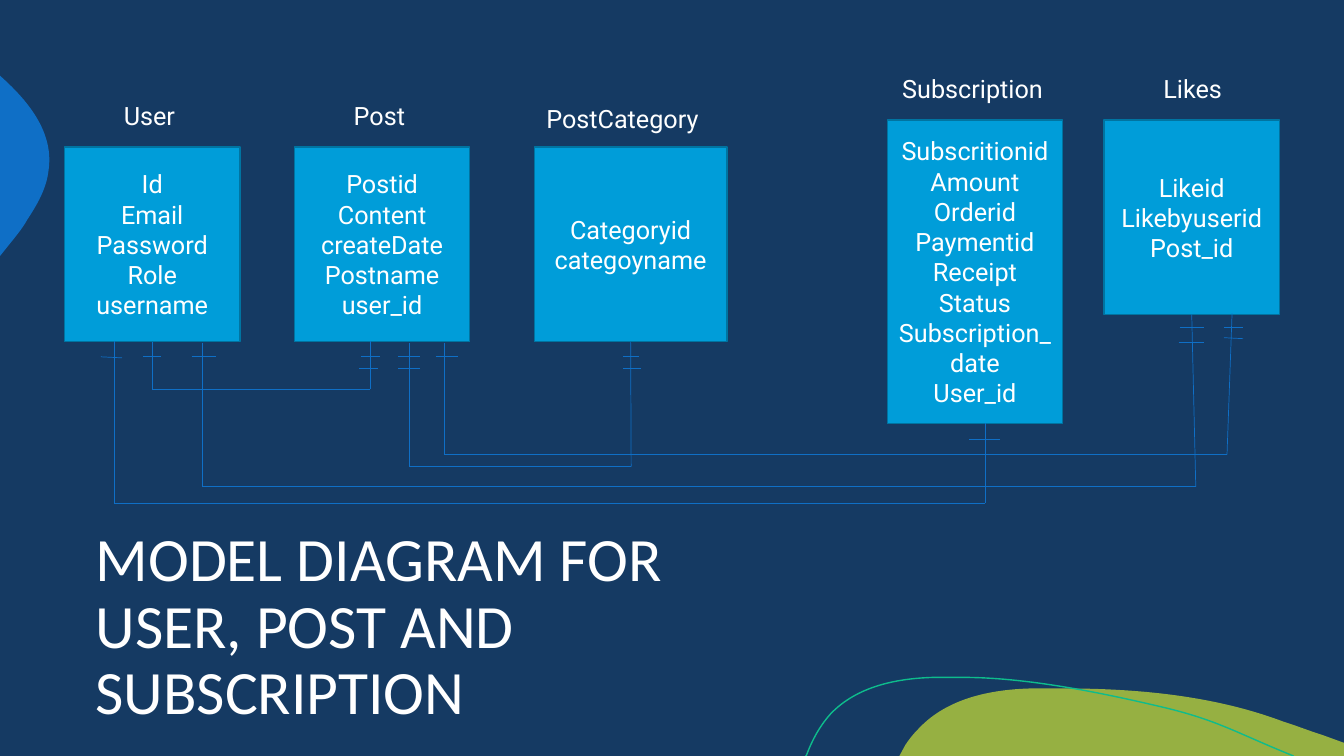
from lxml import etree
from pptx import Presentation
from pptx import util as u
from pptx.dml.color import RGBColor
from pptx.enum import shapes, text
from pptx.oxml.ns import qn

NAVY, SKY, SKY_EDGE, BLUE = "153A63", "009DD9", "0074A1", "0F6FC6"
GREEN, TEAL, WHITE = "96B042", "0EBC8C", "FFFFFF"
BODY = {"name": "Roboto", "size": u.Pt(18)}
TITLE = {"name": "Calibri", "size": u.Pt(44)}

ENTITIES = [
    ("User", (0.64, 1.46, 1.74, 1.93), (0.49, -0.51, 0.77),
     ["Id", "Email", "Password", "Role", "username"]),
    ("Post", (2.92, 1.46, 1.74, 1.93), (0.49, -0.51, 0.77),
     ["Postid", "Content", "createDate", "Postname", "user_id"]),
    ("PostCategory", (5.3, 1.46, 1.91, 1.93), (0.02, -0.48, 1.91),
     ["Categoryid", "categoyname"]),
    ("Subscription", (8.8, 1.19, 1.74, 3.01), (0.05, -0.51, 1.64),
     ["Subscritionid", "Amount", "Orderid", "Paymentid", "Receipt", "Status",
      "Subscription_date", "User_id"]),
    ("Likes", (10.95, 1.19, 1.74, 1.93), (0.49, -0.51, 0.93),
     ["Likeid", "Likebyuserid", "Post_id"]),
]

ROUTES = [
    ([(1.51, 3.39), (1.51, 3.86), (3.67, 3.86), (3.67, 3.38)], "User", None),
    ([(1.13, 3.38), (1.13, 4.99), (9.77, 4.99), (9.77, 4.2)], None, None),
    ([(4.06, 3.4), (4.06, 4.63), (6.26, 4.63), (6.26, 3.39)], None, "PostCategory"),
    ([(2.01, 3.4), (2.01, 4.83), (11.86, 4.83), (11.82, 3.12)], None, "Likes"),
    ([(4.41, 3.4), (4.41, 4.51), (12.17, 4.51), (12.22, 3.11)], None, None),
]

TICKS = [
    (1, 3.54, 1.21, 3.55), (1.42, 3.54, 1.6, 3.54), (1.9, 3.54, 2.14, 3.54),
    (3.58, 3.54, 3.77, 3.54), (3.56, 3.65, 3.75, 3.65),
    (3.95, 3.54, 4.17, 3.54), (3.95, 3.65, 4.17, 3.65),
    (4.41, 3.54, 4.42, 3.54), (4.32, 3.54, 4.54, 3.54),
    (6.18, 3.54, 6.34, 3.54), (6.18, 3.65, 6.36, 3.65), (9.61, 4.36, 9.92, 4.36),
    (11.7, 3.25, 11.94, 3.25), (11.69, 3.4, 11.94, 3.4),
    (12.14, 3.25, 12.33, 3.25), (12.14, 3.35, 12.33, 3.36),
]

GREEN_HILL = [
    (1.62, 0), (2.36, 0, 3.12, 0.07, 3.81, 0.33), (3.94, 0.37, 4.06, 0.42, 4.19, 0.46),
    (4.41, 0.54), (4.41, 0.67), (0, 0.67), (0.06, 0.56),
    (0.1, 0.5, 0.14, 0.45, 0.19, 0.4), (0.47, 0.1, 0.9, 0.01, 1.31, 0),
    (1.41, 0, 1.51, 0, 1.62, 0)]
BLUE_BULGE = [
    (0, 0), (0.01, 0.01), (0.3, 0.27, 0.54, 0.58, 0.48, 0.95),
    (0.46, 1.12, 0.37, 1.28, 0.27, 1.43), (0.24, 1.49, 0.17, 1.58, 0.08, 1.69), (0, 1.79)]
TEAL_ARC = [
    (0, 0.78), (0.01, 0.77), (0.07, 0.61, 0.15, 0.47, 0.25, 0.36),
    (0.51, 0.09, 0.9, 0.01, 1.27, 0), (1.56, 0), (2.23, 0, 3.01, 0.17, 3.56, 0.3),
    (4.1, 0.43, 4.27, 0.55, 4.84, 0.78)]


def color(value):
    return RGBColor.from_string(value)


def paint(sp, fill=None, line=None, width=1):
    sp.shadow.inherit = False
    if fill:
        sp.fill.solid()
        sp.fill.fore_color.rgb = color(fill)
    else:
        sp.fill.background()
    if line:
        sp.line.color.rgb = color(line)
        sp.line.width = u.Pt(width)
    else:
        sp.line.fill.background()


def write(tf, lines, font, align=None):
    tf.word_wrap = True
    for i, content in enumerate(lines):
        p = tf.add_paragraph() if i else tf.paragraphs[0]
        p.alignment = align
        r = p.add_run()
        r.text = content
        r.font.color.rgb = color(WHITE)
        for key, value in font.items():
            setattr(r.font, key, value)


def wave(s, left, top, steps, fill=None, line=None):
    ends = [(u.Inches(left + step[-2]), u.Inches(top + step[-1])) for step in steps]
    builder = s.shapes.build_freeform(*ends[0])
    builder.add_line_segments(ends[1:], close=fill is not None)
    sp = builder.convert_to_shape()
    segments = list(sp._element.iter(qn("a:lnTo")))
    for segment, step in zip(segments, steps[1:]):
        if len(step) == 6:
            segment.tag = qn("a:cubicBezTo")
            segment.clear()
            for x, y in zip(step[::2], step[1::2]):
                etree.SubElement(segment, qn("a:pt"), x=str(u.Inches(x)), y=str(u.Inches(y)))
    paint(sp, fill, line)


def entity(s, name, box, label, fields):
    left, top, width, height = box
    dx, dy, label_width = label
    sp = s.shapes.add_shape(shapes.MSO_SHAPE.RECTANGLE, *map(u.Inches, box))
    paint(sp, SKY, SKY_EDGE)
    sp.text_frame.vertical_anchor = text.MSO_ANCHOR.MIDDLE
    write(sp.text_frame, fields, BODY, text.PP_ALIGN.CENTER)
    tb = s.shapes.add_textbox(*map(u.Inches, (left + dx, top + dy, label_width, 0.4)))
    write(tb.text_frame, [name], BODY)
    return sp


def line(s, *ends):
    cx = s.shapes.add_connector(shapes.MSO_CONNECTOR.STRAIGHT, *map(u.Inches, ends))
    cx.line.color.rgb = color(BLUE)
    cx.line.width = u.Pt(0.5)
    etree.SubElement(cx._element.spPr, qn("a:effectLst"))
    return cx


def route(s, points, source, target):
    parts = [line(s, *a, *b) for a, b in zip(points, points[1:])]
    if source:
        parts[0].begin_connect(source, 2)
    if target:
        parts[-1].end_connect(target, 2)


def heading(s, box, content):
    tf = s.shapes.add_textbox(*map(u.Inches, box)).text_frame
    tf.vertical_anchor = text.MSO_ANCHOR.BOTTOM
    write(tf, [content], TITLE)
    for key, value in {"line_spacing": 0.9, "space_after": u.Pt(6)}.items():
        setattr(tf.paragraphs[0], key, value)


def model_slide(prs):
    s = prs.slides.add_slide(prs.slide_layouts[6])
    s.background.fill.solid()
    s.background.fill.fore_color.rgb = color(NAVY)
    wave(s, 8.92, 6.83, GREEN_HILL, fill=GREEN)
    wave(s, 0, 0.75, BLUE_BULGE, fill=BLUE)
    wave(s, 7.99, 6.72, TEAL_ARC, line=TEAL)
    tables = {row[0]: entity(s, *row) for row in ENTITIES}
    for points, source, target in ROUTES:
        route(s, points, tables.get(source), tables.get(target))
    for tick in TICKS:
        line(s, *tick)
    heading(s, (0.85, 5.16, 6.66, 2.11), "MODEL DIAGRAM FOR USER, POST AND SUBSCRIPTION")


def main():
    prs = Presentation()
    prs.slide_width, prs.slide_height = u.Inches(13.33), u.Inches(7.5)
    model_slide(prs)
    prs.save("out.pptx")


if __name__ == "__main__":
    main()
